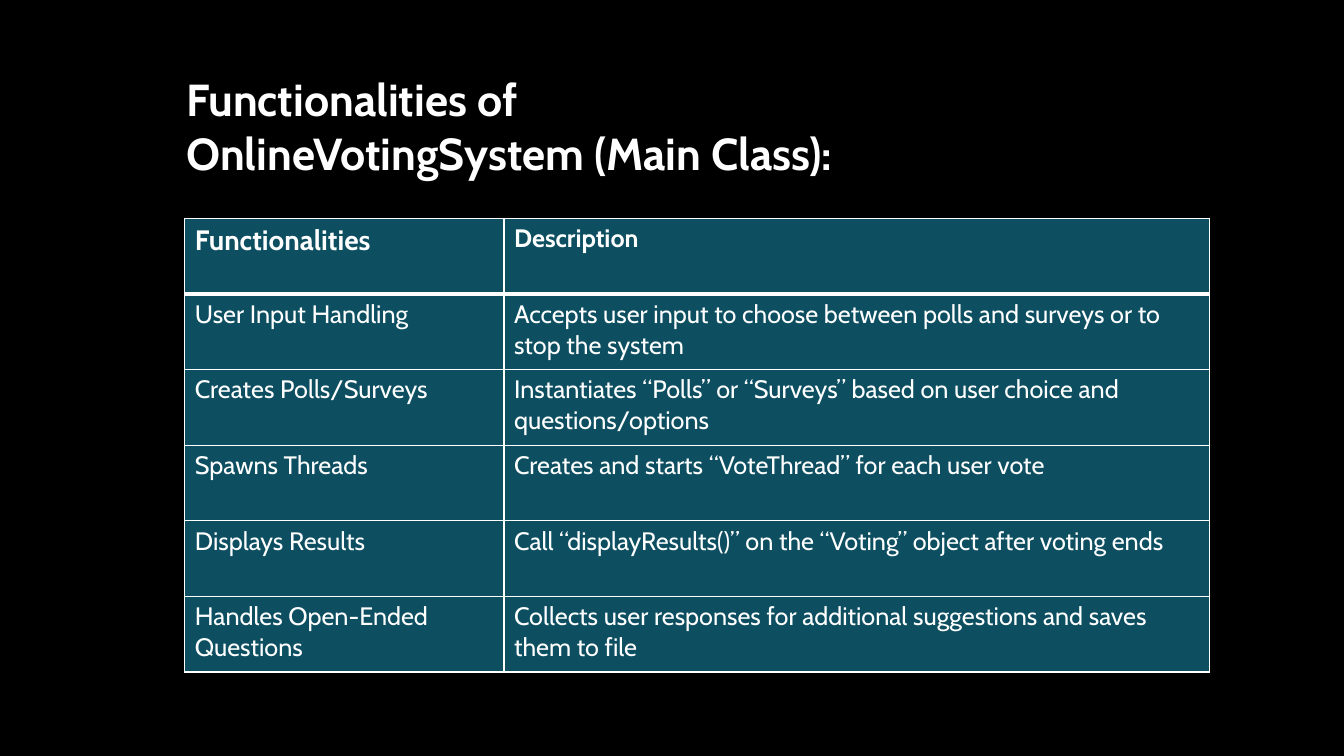
"""Build the slide that lists what the OnlineVotingSystem main class does."""
from lxml import etree
from pptx import Presentation, util as u
from pptx.dml.color import RGBColor
from pptx.oxml.ns import qn

TITLE = "Functionalities of\vOnlineVotingSystem (Main Class):"
ROWS = [
    ("Functionalities", "Description"),
    ("User Input Handling",
     "Accepts user input to choose between polls and surveys or to stop the system"),
    ("Creates Polls/Surveys",
     "Instantiates “Polls” or “Surveys” based on user choice and questions/options"),
    ("Spawns Threads", "Creates and starts “VoteThread” for each user vote"),
    ("Displays Results",
     "Call “displayResults()” on the “Voting” object after voting ends"),
    ("Handles Open-Ended Questions",
     "Collects user responses for additional suggestions and saves them to file"),
]
FONT = "Cabin"
BLACK, WHITE, TEAL = "000000", "FFFFFF", "0D4F61"
SLIDE_SIZE = (1280, 720)
TITLE_BOX = (168, 64, 728, 113)
TABLE_LEFT, TABLE_TOP = 176, 208
COLUMN_WIDTHS = (304, 672)
ROW_HEIGHT = 72
EMU_PER_PX = 9525


def px(length):
    return u.Emu(length * EMU_PER_PX)


def paint(fill, color):
    fill.solid()
    fill.fore_color.rgb = RGBColor.from_string(color)


def style(paragraph, size, bold):
    font = paragraph.font
    font.name, font.size, font.bold = FONT, u.Pt(size), bold
    font.color.rgb = RGBColor.from_string(WHITE)


def add_borders(cell, top, bottom):
    properties = cell._tc.get_or_add_tcPr()
    sides = (("a:lnL", 1), ("a:lnR", 1), ("a:lnT", top), ("a:lnB", bottom))
    for position, (side, points) in enumerate(sides):
        line = etree.Element(qn(side), w=str(u.Pt(points)))
        solid = etree.SubElement(line, qn("a:solidFill"))
        etree.SubElement(solid, qn("a:srgbClr"), val=WHITE)
        properties.insert(position, line)


def add_title(slide):
    frame = slide.shapes.add_textbox(*map(px, TITLE_BOX)).text_frame
    frame.word_wrap = True
    frame.text = TITLE
    style(frame.paragraphs[0], 32, True)


def add_table(slide):
    table = slide.shapes.add_table(
        len(ROWS), len(COLUMN_WIDTHS), px(TABLE_LEFT), px(TABLE_TOP),
        px(sum(COLUMN_WIDTHS)), px(ROW_HEIGHT * len(ROWS))).table
    for column, width in zip(table.columns, COLUMN_WIDTHS):
        column.width = px(width)
    for r, texts in enumerate(ROWS):
        for c, content in enumerate(texts):
            cell = table.cell(r, c)
            cell.text = content
            style(cell.text_frame.paragraphs[0], 20 if r == c == 0 else 18, r == 0)
            paint(cell.fill, TEAL)
            add_borders(cell, 3 if r == 1 else 1, 3 if r == 0 else 1)


def main():
    presentation = Presentation()
    presentation.slide_width, presentation.slide_height = map(px, SLIDE_SIZE)
    slide = presentation.slides.add_slide(presentation.slide_layouts[6])
    paint(slide.background.fill, BLACK)
    add_title(slide)
    add_table(slide)
    presentation.save("out.pptx")


if __name__ == "__main__":
    main()
